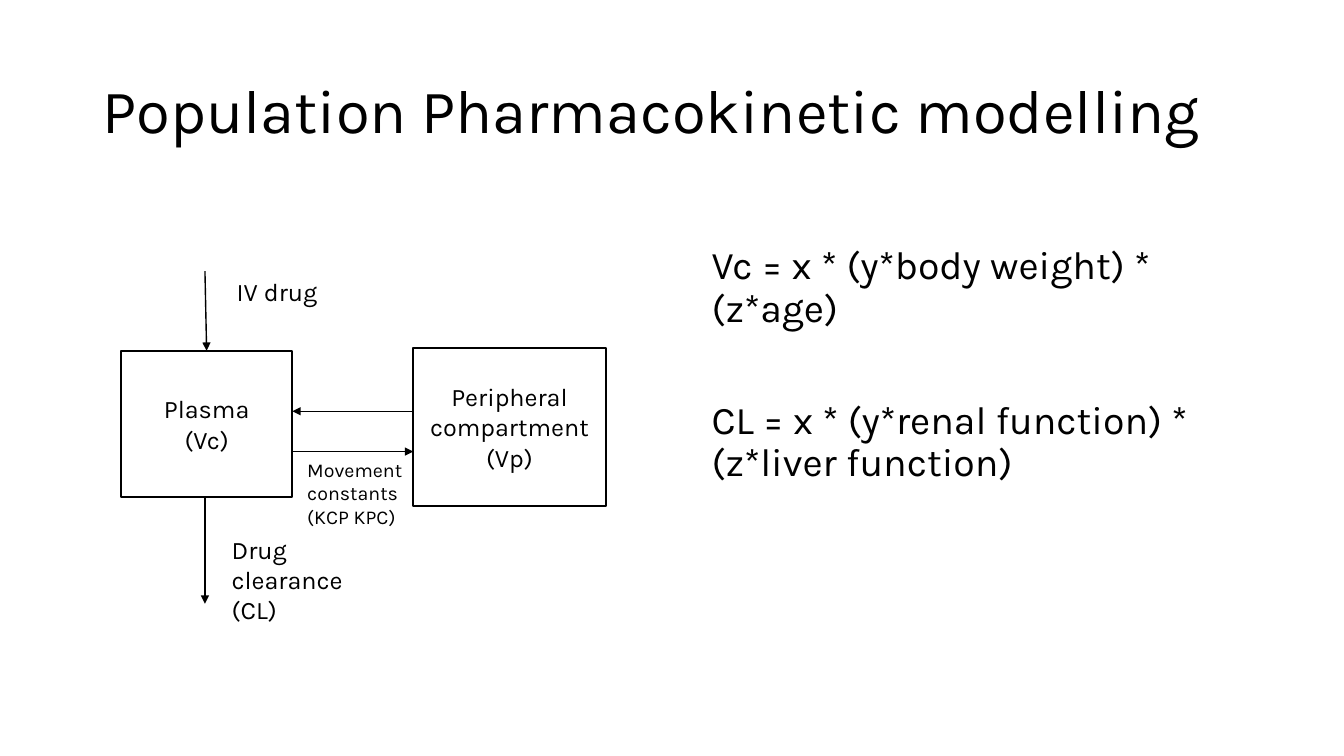
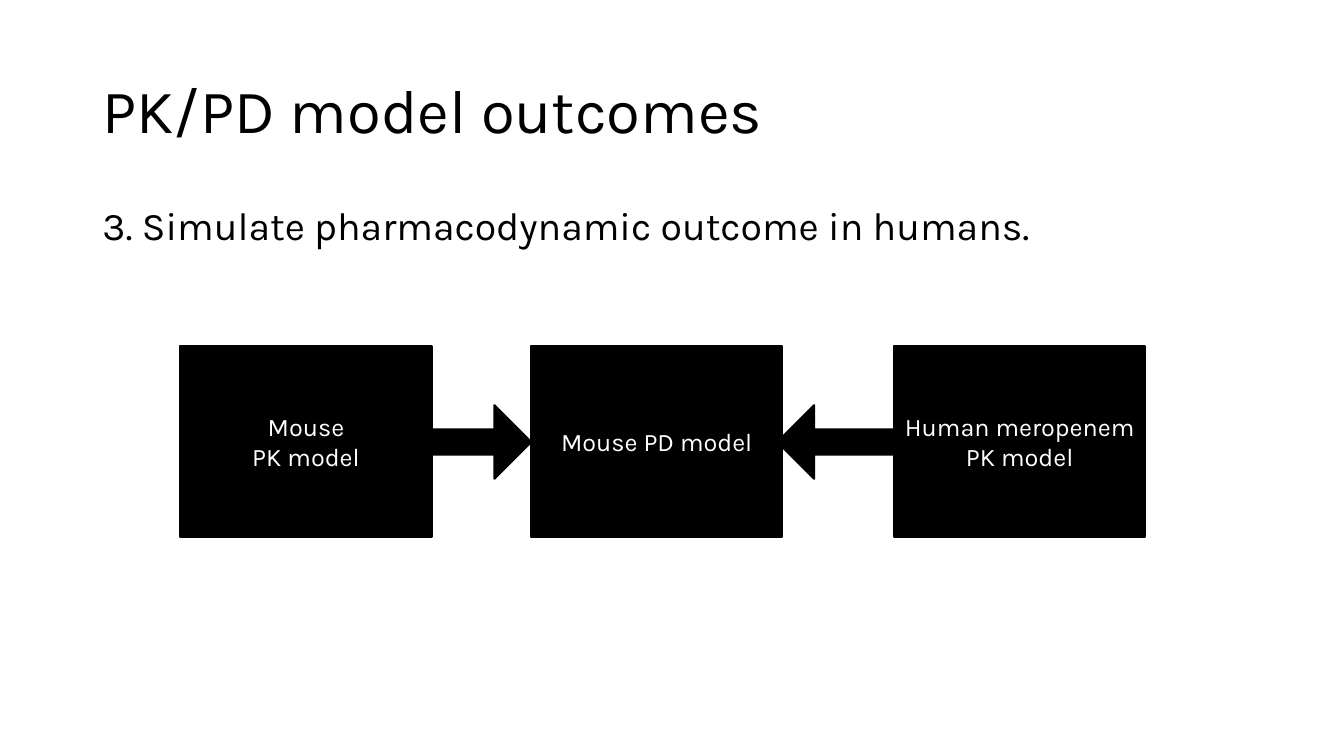
from dataclasses import dataclass

from lxml.etree import SubElement
from pptx import Presentation
from pptx.dml.color import RGBColor
from pptx.enum.shapes import MSO_CONNECTOR, MSO_SHAPE
from pptx.enum.text import MSO_ANCHOR, MSO_AUTO_SIZE, PP_ALIGN
from pptx.oxml.ns import qn
from pptx.util import Inches, Pt


@dataclass(frozen=True)
class Theme:
    font: str = "Karla"
    ink: RGBColor = RGBColor(0, 0, 0)
    paper: RGBColor = RGBColor(255, 255, 255)
    title: int = 44
    body: int = 28
    label: int = 18
    note: int = 14
    outline: float = 1.5
    thin: float = 1


class Deck:
    """Slides on a grid of 80 columns by 45 rows."""

    COLUMNS, ROWS = 80, 45

    def __init__(self, theme):
        self.theme = theme
        self.file = Presentation()
        self.file.slide_width = Inches(13.33)
        self.file.slide_height = Inches(7.5)
        self.slide = None

    def x(self, columns):
        return round(self.file.slide_width * columns / self.COLUMNS)

    def y(self, rows):
        return round(self.file.slide_height * rows / self.ROWS)

    def area(self, left, top, width, height):
        return self.x(left), self.y(top), self.x(width), self.y(height)

    def set_text(self, frame, text, size, color, align=PP_ALIGN.LEFT):
        frame.text = text
        frame.word_wrap = True
        for paragraph in frame.paragraphs:
            paragraph.alignment = align
            for run in paragraph.runs:
                run.font.name = self.theme.font
                run.font.size = Pt(size)
                run.font.color.rgb = color

    def fill_placeholder(self, holder, area, text, size, anchor):
        holder.left, holder.top, holder.width, holder.height = self.area(*area)
        frame = holder.text_frame
        self.set_text(frame, text, size, self.theme.ink)
        frame.auto_size = MSO_AUTO_SIZE.NONE
        frame.vertical_anchor = anchor
        for paragraph in frame.paragraphs:
            paragraph.line_spacing = 0.9
        return frame.paragraphs

    def new_slide(self, title):
        self.slide = self.file.slides.add_slide(self.file.slide_layouts[1])
        self.fill_placeholder(self.slide.shapes.title, (5.5, 2.4, 69, 8.7),
                              title, self.theme.title, MSO_ANCHOR.MIDDLE)

    def body(self, area, text, gap=10):
        paragraphs = self.fill_placeholder(self.slide.placeholders[1], area, text,
                                           self.theme.body, MSO_ANCHOR.TOP)
        for index, paragraph in enumerate(paragraphs):
            paragraph.space_before = Pt(gap if index else 10)
            # No bullet and no hanging indent
            properties = paragraph._p.get_or_add_pPr()
            properties.set("marL", "0")
            properties.set("indent", "0")
            SubElement(properties, qn("a:buNone"))

    def shape(self, kind, area, fill):
        shape = self.slide.shapes.add_shape(kind, *self.area(*area))
        shape.shadow.inherit = False
        shape.fill.solid()
        shape.fill.fore_color.rgb = fill
        shape.line.color.rgb = self.theme.ink
        shape.line.width = Pt(self.theme.outline)
        return shape

    def box(self, area, text, fill, color):
        frame = self.shape(MSO_SHAPE.RECTANGLE, area, fill).text_frame
        self.set_text(frame, text, self.theme.label, color, PP_ALIGN.CENTER)
        frame.vertical_anchor = MSO_ANCHOR.MIDDLE

    def block_arrow(self, kind, area):
        arrow = self.shape(kind, area, self.theme.ink)
        arrow.adjustments[0] = 0.34
        arrow.adjustments[1] = 0.5

    def label(self, area, text, size):
        textbox = self.slide.shapes.add_textbox(*self.area(*area))
        self.set_text(textbox.text_frame, text, size, self.theme.ink)

    def arrow(self, start, end):
        arrow = self.slide.shapes.add_connector(
            MSO_CONNECTOR.STRAIGHT,
            self.x(start[0]), self.y(start[1]), self.x(end[0]), self.y(end[1]))
        arrow.line.color.rgb = self.theme.ink
        arrow.line.width = Pt(self.theme.thin)
        outline = arrow._element.spPr.find(qn("a:ln"))
        SubElement(outline, qn("a:tailEnd"), type="triangle")
        SubElement(arrow._element.spPr, qn("a:effectLst"))


def compartment_slide(deck):
    theme = deck.theme
    deck.new_slide("Population Pharmacokinetic modelling")
    deck.body((41.76, 14.34, 32.7, 22.14),
              "Vc = x * (y*body weight) * (z*age)\n"
              "CL = x * (y*renal function) * (z*liver function)", gap=50)

    # Compartments
    plasma = (7.2, 20.88, 10.2, 8.7)
    peripheral = (24.6, 20.7, 11.46, 9.42)
    deck.box(plasma, "Plasma\n(Vc)", theme.paper, theme.ink)
    deck.box(peripheral, "Peripheral compartment\n(Vp)", theme.paper, theme.ink)

    # Flows into, out of and between the compartments
    plasma_right, plasma_bottom = plasma[0] + plasma[2], plasma[1] + plasma[3]
    dose_x = 12.2
    deck.arrow((dose_x, 16.14), (dose_x + 0.1, plasma[1]))
    deck.arrow((dose_x, plasma_bottom), (dose_x, 35.94))
    deck.arrow((peripheral[0], 24.48), (plasma_right, 24.48))
    deck.arrow((plasma_right, 26.88), (peripheral[0], 26.88))

    # Flow labels
    deck.label((13.5, 16.14, 7.32, 2.4), "IV drug", theme.label)
    deck.label((13.2, 31.5, 8.52, 6.06), "Drug clearance\n(CL)", theme.label)
    deck.label((17.7, 26.94, 7.14, 4.86), "Movement constants (KCP KPC)", theme.note)


def outcome_slide(deck):
    theme = deck.theme
    deck.new_slide("PK/PD model outcomes")
    deck.body((5.5, 12, 69, 28.56), "3. Simulate pharmacodynamic outcome in humans.")

    # Models
    top, width, height = 20.58, 14.95, 11.4
    mouse_pk, mouse_pd, human_pk = 10.74, 31.62, 53.22
    for left, text in ((mouse_pk, "Mouse\nPK model"),
                       (mouse_pd, "Mouse PD model"),
                       (human_pk, "Human meropenem PK model")):
        deck.box((left, top, width, height), text, theme.ink, theme.paper)

    # Arrows towards the middle model
    arrow_top, arrow_height, overlap = 24.12, 4.38, 0.3
    from_mouse = mouse_pk + width
    from_human = mouse_pd + width - overlap
    deck.block_arrow(MSO_SHAPE.RIGHT_ARROW,
                     (from_mouse, arrow_top, mouse_pd - from_mouse, arrow_height))
    deck.block_arrow(MSO_SHAPE.LEFT_ARROW,
                     (from_human, arrow_top, human_pk - from_human, arrow_height))


def main():
    deck = Deck(Theme())
    compartment_slide(deck)
    outcome_slide(deck)
    deck.file.save("out.pptx")


if __name__ == "__main__":
    main()
